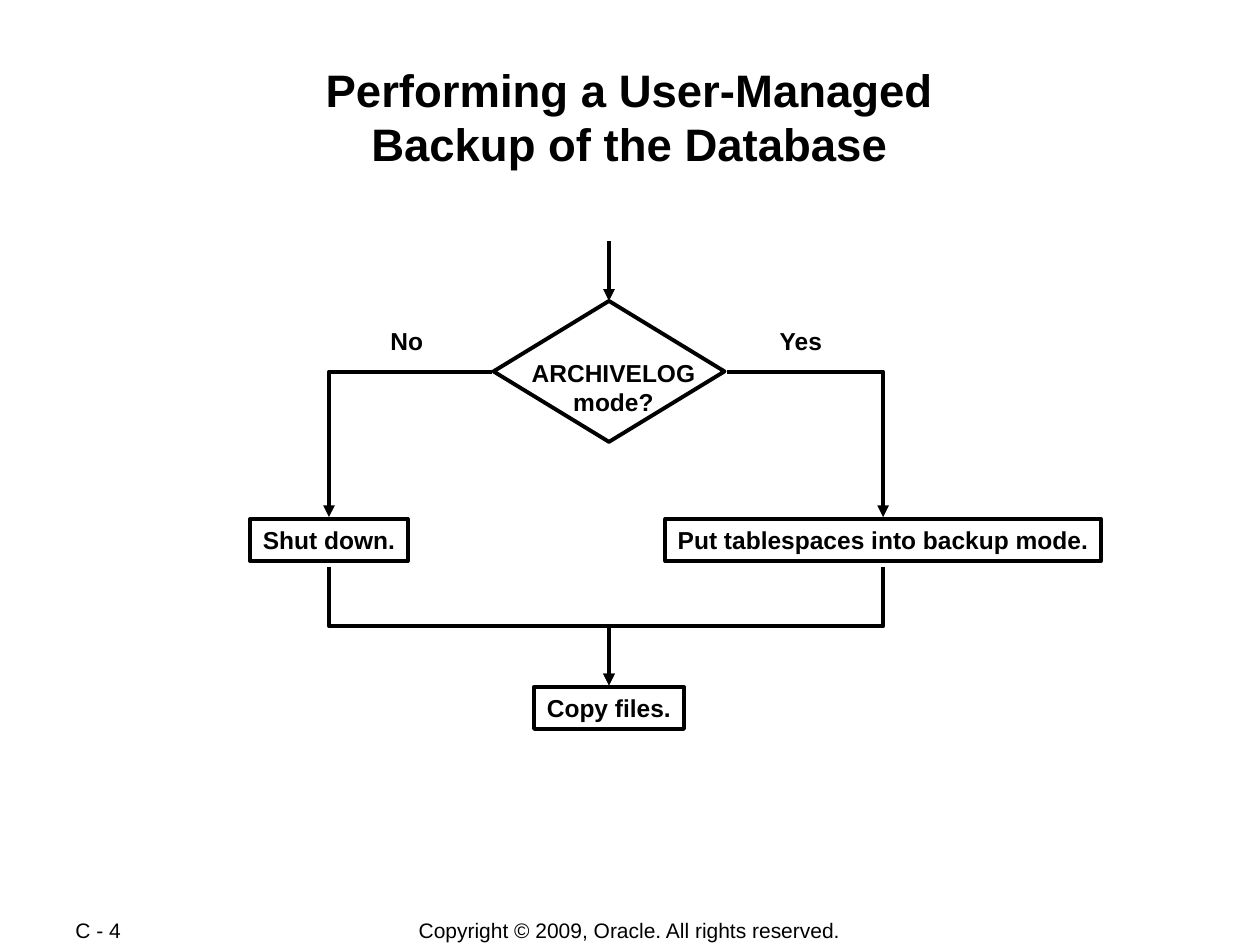
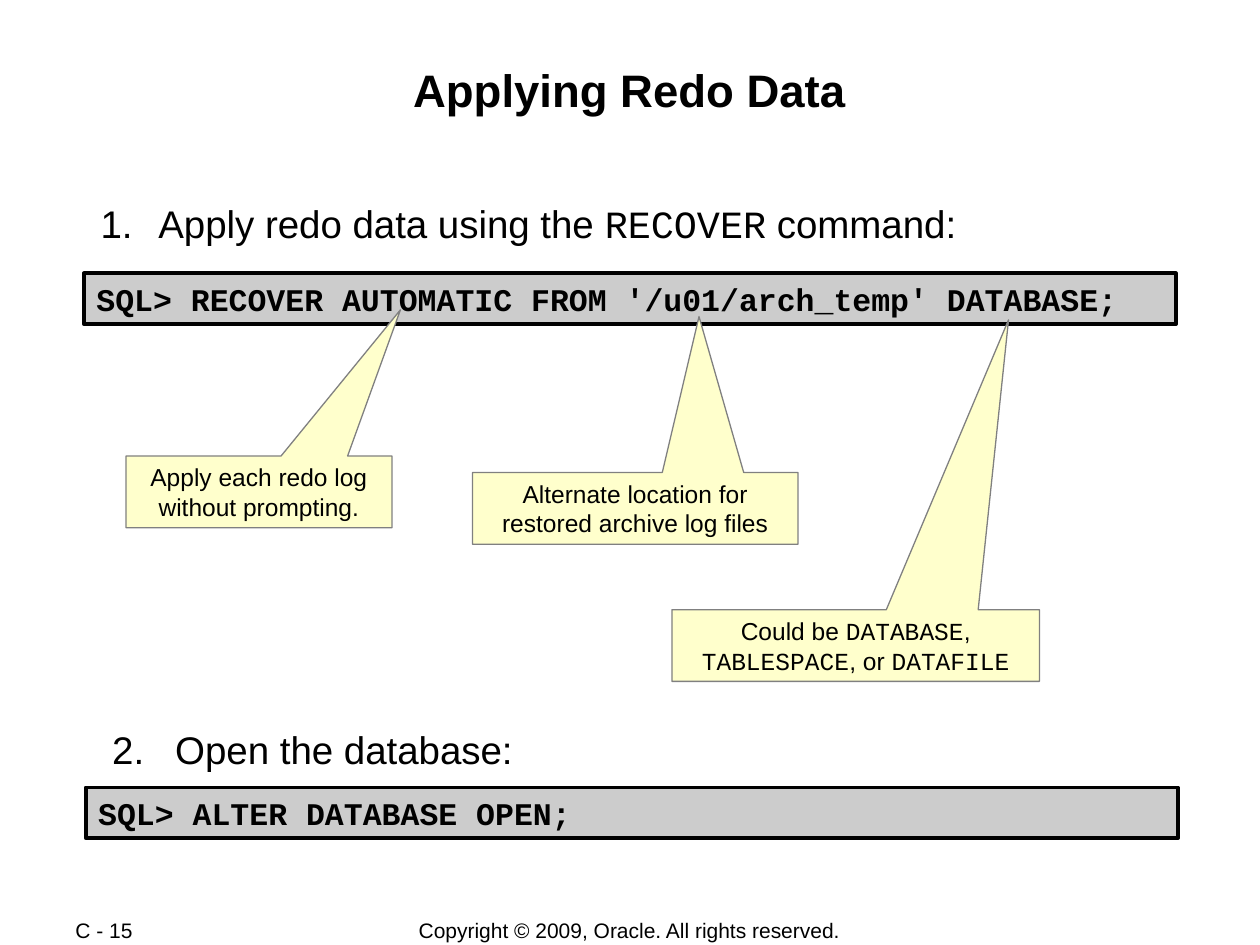
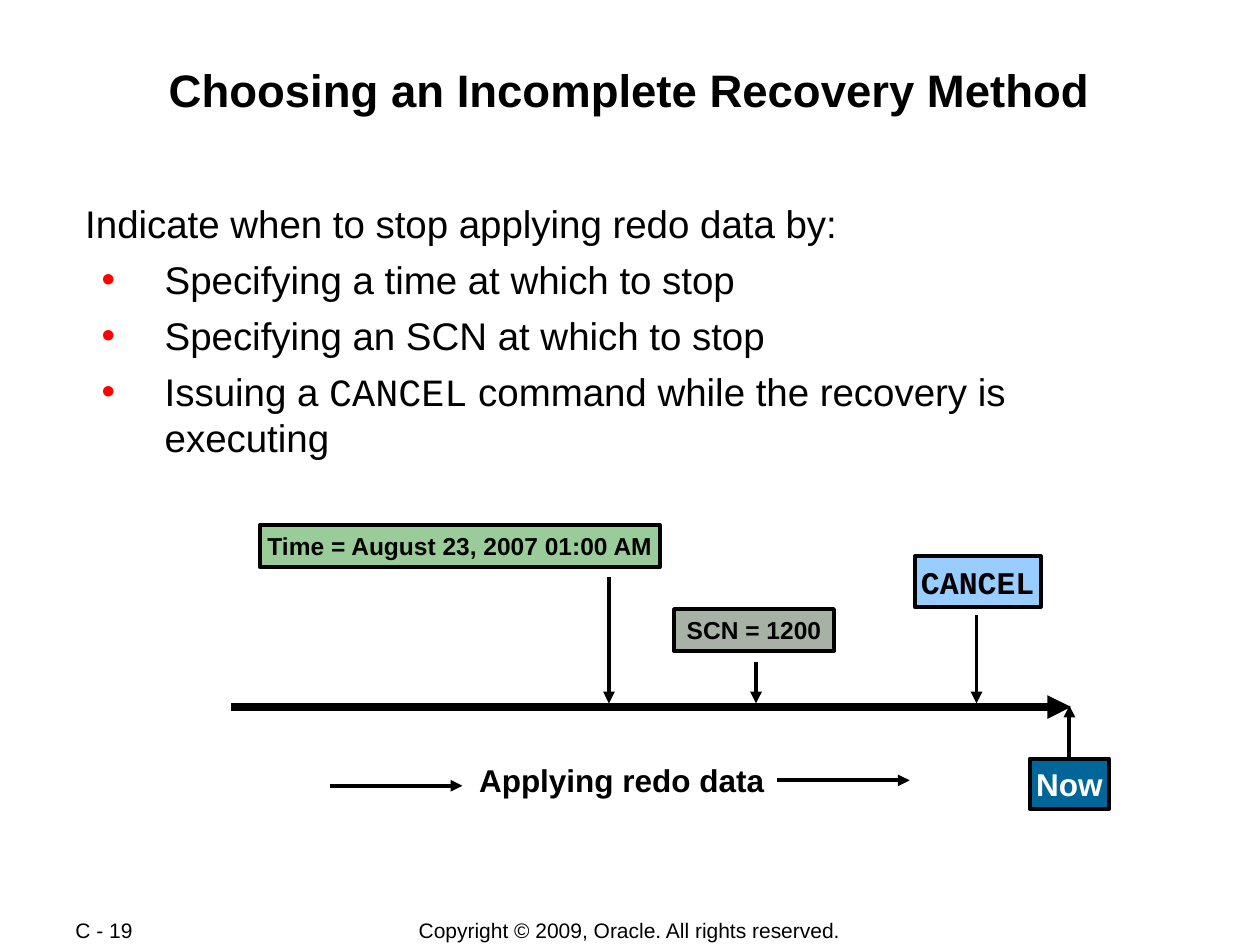
from dataclasses import dataclass
from typing import Any, Optional

from lxml import etree
from pptx import Presentation
from pptx import util as u
from pptx.dml import color as dml
from pptx.enum import shapes, text
from pptx.oxml import ns

Pt = u.Pt
COLORS = {
    "black": "000000", "white": "FFFFFF", "bullet": "FF0000",
    "code": "CCCCCC", "callout": "FFFFCC", "callout_line": "808080",
    "scn": "A7B1A5", "time": "99CC99", "cancel": "99CCFF", "now": "006699",
}
SANS, MONO = "Arial", "Courier New"
RECTANGLE = shapes.MSO_SHAPE.RECTANGLE
CENTER, LEFT = text.PP_ALIGN.CENTER, text.PP_ALIGN.LEFT
TOP, MIDDLE = text.MSO_ANCHOR.TOP, text.MSO_ANCHOR.MIDDLE
FIXED, GROW = text.MSO_AUTO_SIZE.NONE, text.MSO_AUTO_SIZE.SHAPE_TO_FIT_TEXT
COPYRIGHT = "Copyright © 2009, Oracle. All rights reserved."
TITLE_SIZE, BODY_SIZE, BODY_SPACE = 26, 22, 5.5
CENTER_X = 348
SHUT_DOWN_X, TABLESPACES_X = 188, 504.7


@dataclass(frozen=True)
class Box:
    """A shape with text; without a kind it is a plain text box."""
    text: str
    left: float
    top: float
    width: float
    height: float
    kind: Optional[Any] = RECTANGLE
    fill: Optional[str] = None
    line: str = "black"
    line_width: float = 2.25
    size: float = 14
    bold: bool = True
    font: str = SANS
    color: str = "black"
    align: Any = CENTER
    anchor: Any = TOP
    auto_size: Any = GROW
    wrap: bool = False
    side_inset: float = 7.2
    adjustments: tuple[float, ...] = ()


@dataclass(frozen=True)
class Item:
    """A body paragraph; a hanging item without a bullet holds its own number."""
    text: str
    indent: float = 0
    hang: float = 0
    bullet: bool = False


@dataclass(frozen=True)
class Arrow:
    begin: tuple[float, float]
    end: tuple[float, float]
    width: float = 2.25


def set_format(target: Any, values: dict[str, Any]) -> None:
    for name, value in values.items():
        setattr(target, name, value)


def rgb(name: str) -> dml.RGBColor:
    return dml.RGBColor.from_string(COLORS[name])


def add_runs(paragraph: Any, content: str, size: float, bold: bool = False,
             font: str = SANS, color: str = "black") -> None:
    """Write the content, with the parts between backticks in the code font."""
    for index, part in enumerate(content.split("`")):
        if part:
            run = paragraph.add_run()
            run.text = part
            set_format(run.font, {"size": Pt(size), "bold": bold,
                                  "name": MONO if index % 2 else font})
            run.font.color.rgb = rgb(color)


def set_frame(frame: Any, anchor: Any, auto_size: Any, wrap: bool,
              side: float, ends: float) -> None:
    set_format(frame, {
        "auto_size": auto_size, "word_wrap": wrap, "vertical_anchor": anchor,
        "margin_left": Pt(side), "margin_right": Pt(side),
        "margin_top": Pt(ends), "margin_bottom": Pt(ends),
    })


def add_box(slide: Any, box: Box) -> Any:
    place = [Pt(value) for value in (box.left, box.top, box.width, box.height)]
    if box.kind is None:
        shape = slide.shapes.add_textbox(*place)
    else:
        shape = slide.shapes.add_shape(box.kind, *place)
        shape.shadow.inherit = False
        if box.fill:
            shape.fill.solid()
            shape.fill.fore_color.rgb = rgb(box.fill)
        else:
            shape.fill.background()
        shape.line.color.rgb = rgb(box.line)
        shape.line.width = Pt(box.line_width)
        for index, value in enumerate(box.adjustments):
            shape.adjustments[index] = value
    frame = shape.text_frame
    set_frame(frame, box.anchor, box.auto_size, box.wrap, box.side_inset, 3.6)
    for index, content in enumerate(box.text.split("\n")):
        paragraph = frame.add_paragraph() if index else frame.paragraphs[0]
        paragraph.alignment = box.align
        add_runs(paragraph, content, box.size, box.bold, box.font, box.color)
    return shape


def add_body(slide: Any, left: float, top: float, height: float,
             items: list[Item]) -> None:
    shape = slide.shapes.add_textbox(Pt(left), Pt(top), Pt(623.5), Pt(height))
    frame = shape.text_frame
    set_frame(frame, TOP, FIXED, True, 0.75, 0.75)
    for index, item in enumerate(items):
        paragraph = frame.add_paragraph() if index else frame.paragraphs[0]
        properties = paragraph._p.get_or_add_pPr()
        properties.set("marL", str(Pt(item.indent)))
        properties.set("indent", str(-Pt(item.hang)))
        if item.bullet:
            bullet_color = etree.SubElement(properties, ns.qn("a:buClr"))
            etree.SubElement(bullet_color, ns.qn("a:srgbClr"), val=COLORS["bullet"])
            etree.SubElement(properties, ns.qn("a:buFont"), typeface=SANS)
            etree.SubElement(properties, ns.qn("a:buChar"), char="•")
        elif item.hang:
            tabs = etree.SubElement(properties, ns.qn("a:tabLst"))
            etree.SubElement(tabs, ns.qn("a:tab"), pos="0", algn="l")
        if index:
            paragraph.space_before = Pt(BODY_SPACE)
        add_runs(paragraph, item.text, BODY_SIZE)


def add_arrow(slide: Any, arrow: Arrow,
              kind: Any = shapes.MSO_CONNECTOR.STRAIGHT) -> Any:
    connector = slide.shapes.add_connector(
        kind, *(Pt(value) for value in arrow.begin + arrow.end))
    connector.line.color.rgb = rgb("black")
    connector.line.width = Pt(arrow.width)
    etree.SubElement(connector.line._get_or_add_ln(), ns.qn("a:tailEnd"),
                     type="triangle")
    etree.SubElement(connector._element.spPr, ns.qn("a:effectLst"))
    return connector


def add_branch(slide: Any, arrow: Arrow) -> None:
    """Draw an arrow that goes sideways, then down."""
    connector = add_arrow(slide, arrow, shapes.MSO_CONNECTOR.ELBOW)
    connector._element.spPr.find(ns.qn("a:prstGeom")).set("prst", "bentConnector2")


def add_merge(slide: Any, arrow: Arrow) -> None:
    """Draw an arrow that goes down, sideways and down, as a turned elbow."""
    (begin_x, begin_y), (end_x, end_y) = arrow.begin, arrow.end
    middle_x, middle_y = (begin_x + end_x) / 2, (begin_y + end_y) / 2
    half_run, half_drop = abs(end_x - begin_x) / 2, (end_y - begin_y) / 2
    rightward = end_x > begin_x
    reach = -half_drop if rightward else half_drop
    turned = Arrow((middle_x - reach, middle_y - half_run),
                   (middle_x + reach, middle_y + half_run), arrow.width)
    connector = add_arrow(slide, turned, shapes.MSO_CONNECTOR.ELBOW)
    degrees = 270 if rightward else 90
    connector._element.spPr.find(ns.qn("a:xfrm")).set("rot", str(degrees * 60000))


def add_slide(presentation: Any, title: str, number: int) -> Any:
    """Add a slide with its title and the shared footer."""
    slide = presentation.slides.add_slide(presentation.slide_layouts[5])
    shape = slide.shapes.title
    set_format(shape, {"left": Pt(48), "top": Pt(34.5),
                       "width": Pt(623.5), "height": Pt(69)})
    set_frame(shape.text_frame, TOP, FIXED, True, 0.75, 0.75)
    paragraph = shape.text_frame.paragraphs[0]
    paragraph.alignment = CENTER
    for index, line in enumerate(title.split("\n")):
        if index:
            paragraph.add_line_break()
        add_runs(paragraph, line, TITLE_SIZE, bold=True)
    for line_break in paragraph._p.findall(ns.qn("a:br")):
        etree.SubElement(line_break, ns.qn("a:rPr"), sz=str(TITLE_SIZE * 100))
    footer = {"kind": None, "size": 12, "bold": False, "anchor": MIDDLE,
              "auto_size": FIXED, "wrap": True}
    add_box(slide, Box(COPYRIGHT, 198, 524, 323.5, 15, **footer))
    add_box(slide, Box(f"C - {number}", 36, 524, 76.5, 15, align=LEFT, **footer))
    return slide


def add_code(slide: Any, command: str, left: float, top: float) -> None:
    add_box(slide, Box(command, left, top, 624, 29, fill="code", size=18,
                       font=MONO, align=LEFT, wrap=True))


def build_backup(presentation: Any) -> None:
    slide = add_slide(
        presentation, "Performing a User-Managed\nBackup of the Database", 4)
    decision = add_box(slide, Box(
        "", 282, 172, 132, 80.5, kind=shapes.MSO_SHAPE.FLOWCHART_DECISION,
        auto_size=FIXED))
    for label in (
        Box("ARCHIVELOG\nmode?", 296.6, 201, 108, 41, kind=None),
        Box("No", 216, 183, 33, 24, kind=None),
        Box("Yes", 437.8, 183, 39.6, 24, kind=None),
    ):
        add_box(slide, label)
    for step, middle, top, width in (
        ("Shut down.", SHUT_DOWN_X, 296.6, 90),
        ("Put tablespaces into backup mode.", TABLESPACES_X, 296.6, 249),
        ("Copy files.", CENTER_X, 392.5, 85.7),
    ):
        add_box(slide, Box(step, middle - width / 2, top, width, 24))
    for side_x, step_x in ((281, SHUT_DOWN_X), (415.4, TABLESPACES_X)):
        add_branch(slide, Arrow((side_x, 212.4), (step_x, 295.5)))
        add_merge(slide, Arrow((step_x, 324), (CENTER_X, 391.7)))
    entry = add_arrow(slide, Arrow((CENTER_X, 138), (CENTER_X, 172)))
    entry.end_connect(decision, 0)


def build_redo(presentation: Any) -> None:
    slide = add_slide(presentation, "Applying Redo Data", 15)
    add_code(slide, "SQL> RECOVER AUTOMATIC FROM '/u01/arch_temp' DATABASE;",
             48, 156.25)
    add_body(slide, 48, 113.75, 28, [
        Item("1.\tApply redo data using the `RECOVER` command:", 41.75, 33)])
    for content, left, top, width, tip in (
        ("Apply each redo log without prompting.",
         72, 260.6, 152, (0.532, -2.538)),
        ("Alternate location for restored archive log files",
         270, 270, 186, (0.196, -2.673)),
        ("Could be `DATABASE`, `TABLESPACE`, or `DATAFILE`",
         384, 348.4, 210, (0.416, -4.541)),
    ):
        add_box(slide, Box(
            content, left, top, width, 41, fill="callout", line="callout_line",
            kind=shapes.MSO_SHAPE.RECTANGULAR_CALLOUT, line_width=0.75,
            bold=False, anchor=MIDDLE, wrap=True, adjustments=tip))
    add_body(slide, 54, 414, 28, [Item("2.\tOpen the database:", 45.4, 36)])
    add_code(slide, "SQL> ALTER DATABASE OPEN;", 49, 450)


def build_recovery(presentation: Any) -> None:
    slide = add_slide(presentation, "Choosing an Incomplete Recovery Method", 19)
    bullets = (
        "Specifying a time at which to stop",
        "Specifying an SCN at which to stop",
        "Issuing a `CANCEL` command while the recovery is executing",
    )
    add_body(slide, 48, 113.75, 150.5, [
        Item("Indicate when to stop applying redo data by:"),
        *(Item(content, 45.4, 36, True) for content in bullets)])
    add_arrow(slide, Arrow((132, 404), (612, 404), 4.5))
    caption = add_box(slide, Box("Applying redo data", 266.4, 431.5, 177.8, 28.8,
                                 kind=None, size=18))
    for stop in (
        Box("SCN = 1200", 385.2, 348, 91.4, 24, fill="scn"),
        Box("Time = August 23, 2007 01:00 AM", 148.5, 300, 228.5, 24,
            fill="time", side_inset=3.6),
        Box("CANCEL", 522.7, 318, 72, 28.8, fill="cancel", size=18, font=MONO,
            side_inset=3.6),
    ):
        add_box(slide, stop)
    for stop_x, top in ((CENTER_X, 330), (432, 378), (558, 351.5)):
        add_arrow(slide, Arrow((stop_x, top), (stop_x, 402)))
    now = add_box(slide, Box("Now", 588.4, 433.5, 45.4, 28.8, fill="now", size=18,
                             color="white", side_inset=3.6))
    add_arrow(slide, Arrow((611.1, 433.5), (611.1, 403.2))).begin_connect(now, 0)
    after = add_arrow(slide, Arrow((444.2, 445.9), (519.8, 445.9)))
    after.begin_connect(caption, 3)
    add_arrow(slide, Arrow((188.6, 449), (264.2, 449)))


def main() -> None:
    presentation = Presentation()
    set_format(presentation, {"slide_width": Pt(720), "slide_height": Pt(540)})
    for build in (build_backup, build_redo, build_recovery):
        build(presentation)
    presentation.save("out.pptx")


if __name__ == "__main__":
    main()
